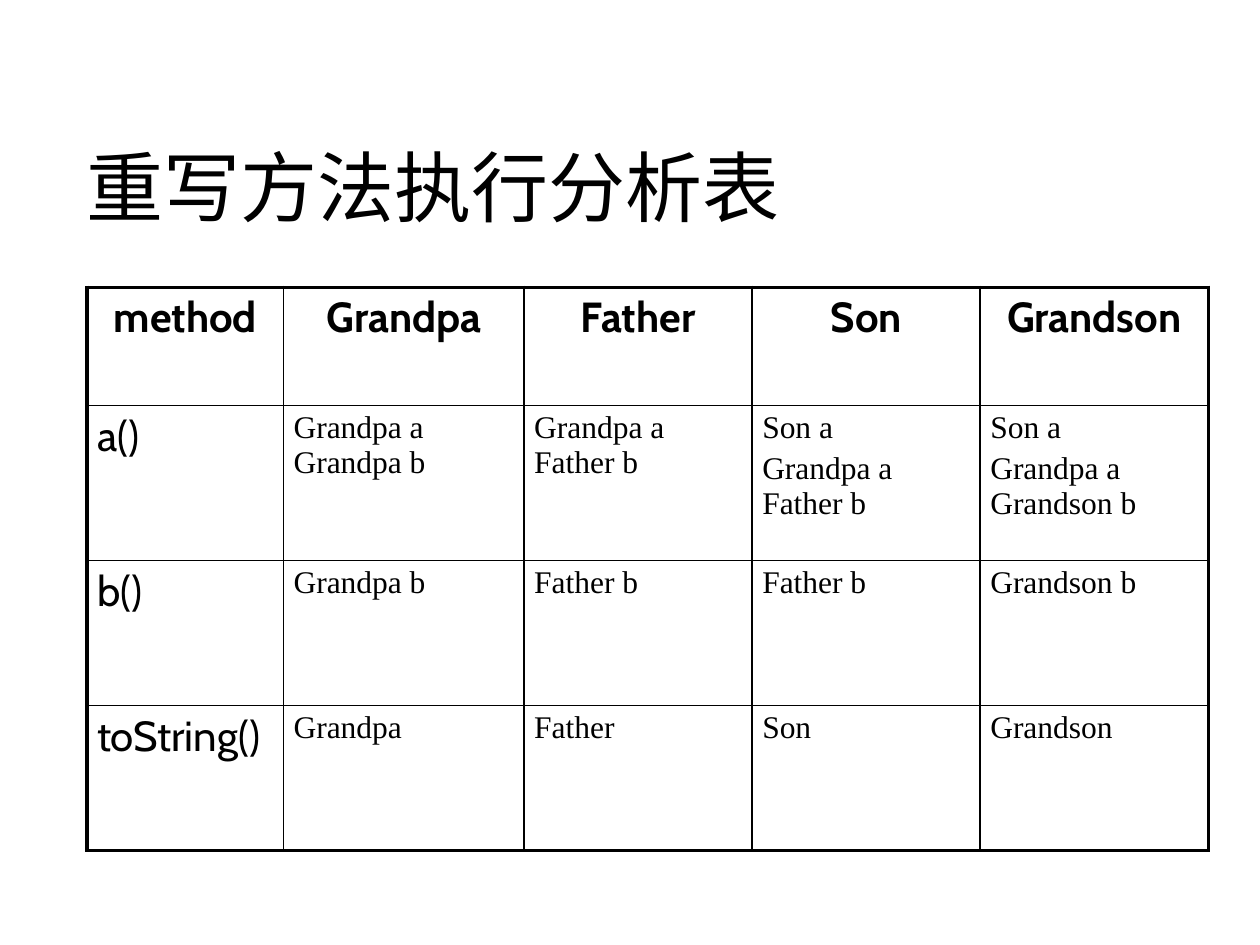
from lxml.etree import SubElement
from pptx import Presentation
from pptx.dml.color import RGBColor
from pptx.enum.text import MSO_ANCHOR, PP_ALIGN
from pptx.oxml.ns import qn
from pptx.util import Inches, Pt

BLACK = "000000"
COLUMN_WIDTHS = [1.56, 1.91, 1.81, 1.81, 1.81]
ROW_HEIGHTS = [0.94, 1.23, 1.15, 1.15]
OUTER_BORDER, INNER_BORDER = 2.25, 1
ROWS = [
    ["method", "Grandpa", "Father", "Son", "Grandson"],
    ["a()", "Grandpa a Grandpa b", "Grandpa a Father b",
     "Son a\nGrandpa a Father b", "Son a\nGrandpa a Grandson b"],
    ["b()", "Grandpa b", "Father b", "Father b", "Grandson b"],
    ["toString()", "Grandpa", "Father", "Son", "Grandson"],
]


def format_font(font, name, size, bold=False, color=BLACK):
    font.name = name
    font.size = Pt(size)
    font.bold = bold
    font.color.rgb = RGBColor.from_string(color)


def set_margins(target, left, top, right, bottom):
    target.margin_left, target.margin_right = Inches(left), Inches(right)
    target.margin_top, target.margin_bottom = Inches(top), Inches(bottom)


def add_title(slide, text):
    title = slide.shapes.title
    title.left, title.top = Inches(0.69), Inches(0.4)
    title.width, title.height = Inches(8.62), Inches(1.45)
    text_frame = title.text_frame
    text_frame.text = text
    text_frame.word_wrap = True
    text_frame.vertical_anchor = MSO_ANCHOR.BOTTOM
    set_margins(text_frame, 0, 0.04, 0, 0)
    paragraph = text_frame.paragraphs[0]
    paragraph.alignment = PP_ALIGN.LEFT
    paragraph.line_spacing = 0.9
    format_font(paragraph.runs[0].font, "Calibri", 44)


def set_borders(cell, row, column):
    """Draw a heavy line on the table's outer edges and a thin one inside."""
    on_outer_edge = {
        "a:lnL": column == 0,
        "a:lnR": column == len(COLUMN_WIDTHS) - 1,
        "a:lnT": row == 0,
        "a:lnB": row == len(ROW_HEIGHTS) - 1,
    }
    properties = cell._tc.get_or_add_tcPr()
    for tag, is_outer in on_outer_edge.items():
        width = Pt(OUTER_BORDER if is_outer else INNER_BORDER)
        line = SubElement(properties, qn(tag), w=str(width))
        fill = SubElement(line, qn("a:solidFill"))
        SubElement(fill, qn("a:srgbClr"), val=BLACK)


def fill_cell(cell, text, row, column):
    set_borders(cell, row, column)
    cell.fill.background()
    set_margins(cell, 0.08, 0.04, 0.08, 0.04)
    is_header = row == 0
    is_label = is_header or column == 0
    name, size = ("Cabin", 24) if is_label else ("Times New Roman", 18)
    cell.text_frame.text = text
    for index, paragraph in enumerate(cell.text_frame.paragraphs):
        paragraph.alignment = PP_ALIGN.CENTER if is_header else PP_ALIGN.LEFT
        if index:
            paragraph.space_before = Pt(0.2 * size)
        format_font(paragraph.runs[0].font, name, size, bold=is_header)


def add_method_table(slide):
    frame = slide.shapes.add_table(
        len(ROW_HEIGHTS), len(COLUMN_WIDTHS), Inches(0.69), Inches(2.28),
        Inches(sum(COLUMN_WIDTHS)), Inches(sum(ROW_HEIGHTS)))
    table = frame.table
    table.first_row = table.horz_banding = False
    for column, width in zip(table.columns, COLUMN_WIDTHS):
        column.width = Inches(width)
    for row, height in zip(table.rows, ROW_HEIGHTS):
        row.height = Inches(height)
    for row, texts in enumerate(ROWS):
        for column, text in enumerate(texts):
            fill_cell(table.cell(row, column), text, row, column)


def main():
    presentation = Presentation()
    presentation.slide_width = Inches(10)
    presentation.slide_height = Inches(7.5)
    slide = presentation.slides.add_slide(presentation.slide_layouts[5])
    add_title(slide, "重写方法执行分析表")
    add_method_table(slide)
    presentation.save("out.pptx")


if __name__ == "__main__":
    main()
